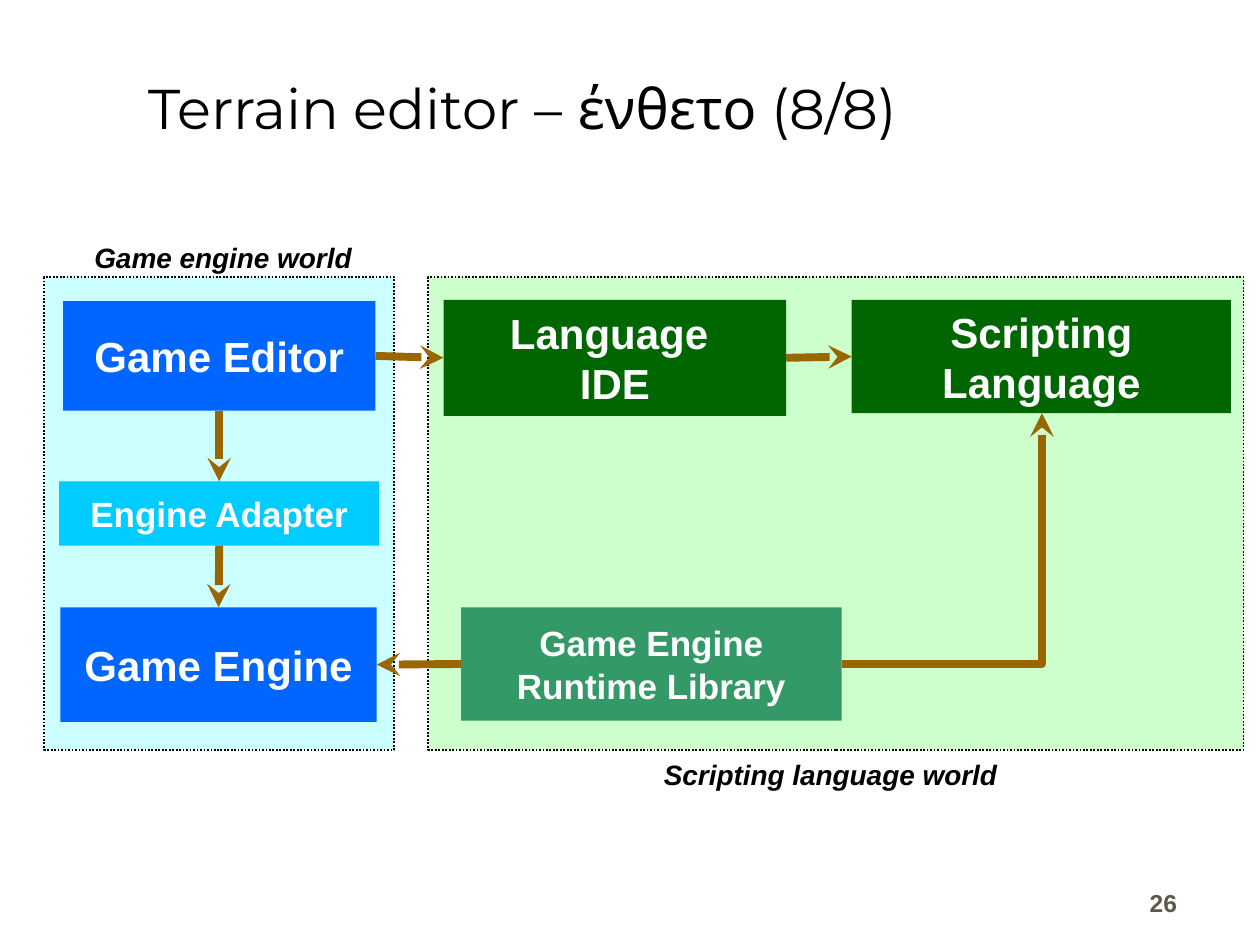
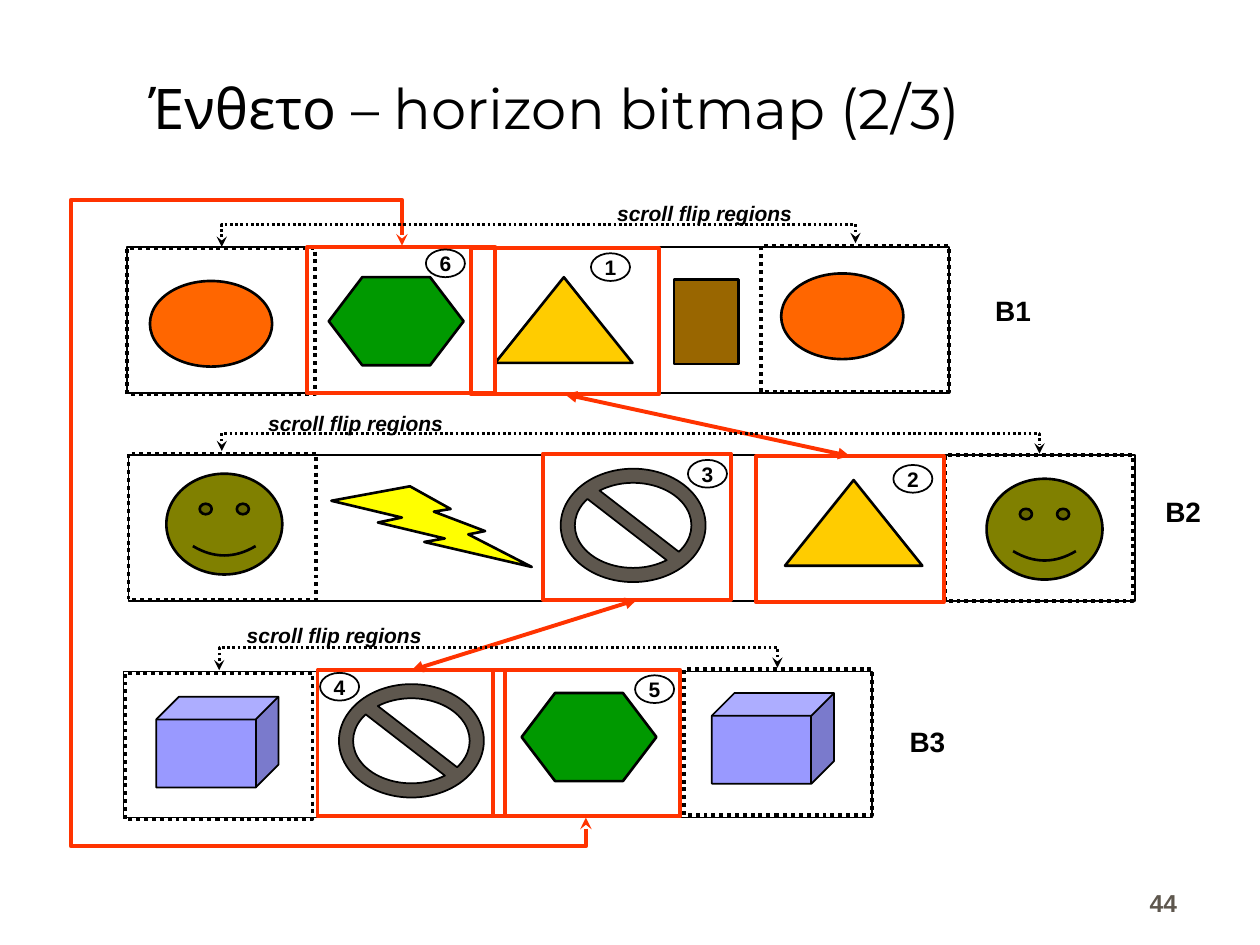
from lxml import etree
from pptx import Presentation
from pptx.dml.color import RGBColor
from pptx.enum import dml, shapes, text
from pptx.oxml.ns import qn
from pptx import util as u

BLACK = RGBColor(0x00, 0x00, 0x00)
WHITE = RGBColor(0xFF, 0xFF, 0xFF)
GREY = RGBColor(0x5E, 0x57, 0x4E)
RED = RGBColor(0xFF, 0x33, 0x00)
ORANGE = RGBColor(0xFF, 0x66, 0x00)
AMBER = RGBColor(0xFF, 0xCC, 0x00)
YELLOW = RGBColor(0xFF, 0xFF, 0x00)
OLIVE = RGBColor(0x80, 0x80, 0x00)
BROWN = RGBColor(0x99, 0x66, 0x00)
GREEN = RGBColor(0x00, 0x99, 0x00)
DARK_GREEN = RGBColor(0x00, 0x66, 0x00)
SEA_GREEN = RGBColor(0x33, 0x99, 0x66)
PALE_GREEN = RGBColor(0xCC, 0xFF, 0xCC)
PALE_CYAN = RGBColor(0xCC, 0xFF, 0xFF)
BLUE = RGBColor(0x00, 0x66, 0xFF)
SKY = RGBColor(0x00, 0xCC, 0xFF)
LAVENDER = RGBColor(0x99, 0x99, 0xFF)

MSO = shapes.MSO_SHAPE
DOTTED = dml.MSO_LINE.ROUND_DOT
LEFT, CENTER, RIGHT = text.PP_ALIGN.LEFT, text.PP_ALIGN.CENTER, text.PP_ALIGN.RIGHT
TOP, MIDDLE, BOTTOM = text.MSO_ANCHOR.TOP, text.MSO_ANCHOR.MIDDLE, text.MSO_ANCHOR.BOTTOM

prs = Presentation()
prs.slide_width, prs.slide_height = u.Inches(10), u.Inches(7.5)
COL, ROW = prs.slide_width / 10, prs.slide_height / 7.5


def add_box(s, kind, at, fill=None, line=None, words="", color=BLACK, font=None,
            align=LEFT, anchor=TOP, wrap=True):
    """Add a preset shape, or a text box when kind is None; at is in columns and rows."""
    x, y, w, h = at
    place = [int(v) for v in (x * COL, y * ROW, w * COL, h * ROW)]
    if kind is None:
        sp = s.shapes.add_textbox(*place)
    else:
        sp = s.shapes.add_shape(kind, *place)
        sp.shadow.inherit = False
        if fill is None:
            sp.fill.background()
        else:
            sp.fill.solid()
            sp.fill.fore_color.rgb = fill
        if line is None:
            sp.line.fill.background()
        else:
            sp.line.color.rgb, width, sp.line.dash_style = line
            sp.line.width = u.Pt(width)
    if words:
        tf = sp.text_frame
        tf.text = words
        tf.word_wrap, tf.vertical_anchor = wrap, anchor
        for p in tf.paragraphs:
            p.alignment = align
            for r in p.runs:
                r.font.color.rgb = color
                for name, value in {"name": "Arial", "bold": True, **(font or {})}.items():
                    setattr(r.font, name, value)
    return sp


def add_link(s, start, end, line, ends, join=None, preset=None, rot=0, adj=()):
    """Add an arrow; join holds (shape, side) pairs, preset names a bent route."""
    (x0, y0), (x1, y1) = start, end
    dx, dy = x1 - x0, y1 - y0
    if rot:
        dx, dy = (dy, -dx) if rot == 90 else (-dy, dx)
    cx, cy = (x0 + x1) / 2, (y0 + y1) / 2
    kind = shapes.MSO_CONNECTOR.ELBOW if preset else shapes.MSO_CONNECTOR.STRAIGHT
    cxn = s.shapes.add_connector(
        kind, int((cx - dx / 2) * COL), int((cy - dy / 2) * ROW),
        int((cx + dx / 2) * COL), int((cy + dy / 2) * ROW))
    cxn.line.color.rgb, width, dash = line
    cxn.line.width = u.Pt(width)
    cxn.line.dash_style = dash
    pr = cxn._element.spPr
    if preset:
        geom = pr.find(qn("a:prstGeom"))
        geom.set("prst", preset)
        guides = geom.find(qn("a:avLst"))
        for i, share in enumerate(adj, 1):
            name = "adj%d" % i
            etree.SubElement(guides, qn("a:gd"), name=name, fmla="val %d" % (share * 100000))
        pr.find(qn("a:xfrm")).set("rot", str(rot * 60000))
    ln = pr.find(qn("a:ln"))
    for tag, head in ends.items():
        etree.SubElement(ln, qn("a:" + tag), type=head)
    etree.SubElement(pr, qn("a:effectLst"))
    if join:
        cxn.begin_connect(*join[0])
        cxn.end_connect(*join[1])


# Title and page number on every slide
slides = []
for title, number in [("Terrain editor – ένθετο (8/8)", "26"),
                      ("Ένθετο – horizon bitmap (2/3)", "44")]:
    s = prs.slides.add_slide(prs.slide_layouts[6])
    add_box(s, None, (1.08, 0.17, 8.92, 1), words=title, anchor=BOTTOM,
            font={"name": "Montserrat", "size": u.Pt(32), "bold": False})
    add_box(s, None, (7.36, 6.83, 2.08, 0.5), words=number, color=GREY,
            font={"size": u.Pt(14)}, align=RIGHT, anchor=BOTTOM)
    slides.append(s)
engine_slide, horizon_slide = slides

# Engine and scripting worlds
s = engine_slide
for x, w, fill in [(3.4, 6.47, PALE_GREEN), (0.35, 2.78, PALE_CYAN)]:
    add_box(s, MSO.RECTANGLE, (x, 2.2, w, 3.75), fill, (BLACK, 1, DOTTED))
for words, at in [("Game engine world", (0.65, 1.86, 2.25, 0.37)),
                  ("Scripting language world", (5.17, 5.96, 2.85, 0.37))]:
    add_box(s, None, at, words=words, wrap=False, font={"size": u.Pt(16), "italic": True})

parts = {}
for key, words, at, fill, size in [
    ("scripting", "Scripting Language", (6.76, 2.38, 3.01, 0.9), DARK_GREEN, 24),
    ("runtime", "Game Engine\nRuntime Library", (3.66, 4.82, 3.02, 0.9), SEA_GREEN, 20),
    ("ide", "Language \nIDE", (3.52, 2.38, 2.72, 0.92), DARK_GREEN, 24),
    ("editor", "Game Editor", (0.5, 2.39, 2.48, 0.87), BLUE, 24),
    ("engine", "Game Engine", (0.48, 4.82, 2.51, 0.91), BLUE, 24),
    ("adapter", "Engine Adapter", (0.47, 3.82, 2.54, 0.51), SKY, 20),
]:
    parts[key] = add_box(s, MSO.RECTANGLE, at, fill, words=words, color=WHITE,
                         font={"size": u.Pt(size)}, align=CENTER, anchor=MIDDLE)

flow, to_end = (BROWN, 4.5, None), {"tailEnd": "stealth"}
for a, a_side, b, b_side in [("ide", 3, "scripting", 1), ("editor", 3, "ide", 1),
                             ("editor", 2, "adapter", 0), ("adapter", 2, "engine", 0),
                             ("runtime", 1, "engine", 3)]:
    add_link(s, (0, 0), (1, 1), flow, to_end, [(parts[a], a_side), (parts[b], b_side)])
add_link(s, (6.68, 5.27), (8.27, 3.28), flow, to_end, preset="bentConnector2")

# Horizon bitmaps B1 to B3
s = horizon_slide
FRAME_W, FRAME_H = 1.49, 1.16
for x, y, w in [(1.01, 1.96, 6.52), (1.02, 3.61, 7.99), (0.98, 5.33, 5.94)]:
    add_box(s, MSO.RECTANGLE, (x, y, w, FRAME_H), WHITE, (BLACK, 1, None))

for kind, size, fill, width, adj, places in [
    (MSO.OVAL, (0.97, 0.68), ORANGE, 1.5, None, [(1.19, 2.23), (6.2, 2.17)]),
    (MSO.HEXAGON, (1.07, 0.7), GREEN, 1.5, 0.38, [(2.61, 2.2), (4.14, 5.5)]),
    (MSO.ISOSCELES_TRIANGLE, (1.09, 0.68), AMBER, 1.5, None, [(3.93, 2.2), (6.23, 3.81)]),
    (MSO.RECTANGLE, (0.51, 0.67), BROWN, 1.5, None, [(5.35, 2.22)]),
    (MSO.SMILEY_FACE, (0.92, 0.8), OLIVE, 1.5, 0.09, [(1.32, 3.76), (7.83, 3.8)]),
    (MSO.LIGHTNING_BOLT, (1.59, 0.64), YELLOW, 1.5, None, [(2.63, 3.86)]),
    (MSO.NO_SYMBOL, (1.15, 0.9), GREY, 1, 1 / 8, [(4.45, 3.72), (2.69, 5.43)]),
    (MSO.CUBE, (0.97, 0.72), LAVENDER, 1, None, [(1.24, 5.53), (5.65, 5.5)]),
]:
    for place in places:
        sp = add_box(s, kind, place + size, fill, (BLACK, width, None))
        if adj:
            sp.adjustments[0] = adj

for x, y in [(1.01, 1.97), (6.04, 1.95), (1.02, 3.6), (7.5, 3.61), (0.99, 5.34), (5.43, 5.31)]:
    add_box(s, MSO.RECTANGLE, (x, y, FRAME_W, FRAME_H), line=(BLACK, 2.25, DOTTED))

# Numbered views: frame corner, then badge corner
views = {}
for number, frame, badge in [
    ("1", (3.74, 1.97), (4.69, 2.01)), ("2", (6, 3.62), (7.09, 3.69)),
    ("3", (4.31, 3.6), (5.46, 3.65)), ("4", (2.52, 5.32), (2.54, 5.34)),
    ("5", (3.91, 5.32), (5.04, 5.36)), ("6", (2.44, 1.96), (3.38, 1.98)),
]:
    views[number] = add_box(s, MSO.RECTANGLE, frame + (FRAME_W, FRAME_H), line=(RED, 2.25, None))
    add_box(s, MSO.OVAL, badge + (0.31, 0.22), WHITE, (BLACK, 1, None), number,
            font={"size": u.Pt(12)}, align=CENTER, anchor=MIDDLE, wrap=False)

jump = (RED, 2.25, None)
for a, b in [("1", "2"), ("3", "4")]:
    add_link(s, (0, 0), (1, 1), jump, {"headEnd": "triangle", "tailEnd": "triangle"},
             [(views[a], 2), (views[b], 0)])

both_ends = {"headEnd": "stealth", "tailEnd": "stealth"}
add_link(s, (4.65, 6.49), (3.19, 1.95), jump, both_ends, preset="bentConnector5",
         rot=270, adj=(-0.05, 2.8, 1.08))

# Brackets joining the two flip regions of each bitmap
for (x0, y0), (x1, y1), top, label in [
    ((1.76, 1.96), (6.79, 1.93), 1.78, (4.8, 1.54)),
    ((1.76, 3.58), (8.25, 3.6), 3.44, (2.03, 3.21)),
    ((1.74, 5.32), (6.17, 5.3), 5.14, (1.86, 4.89)),
]:
    add_link(s, (x0, y0), (x1, y1), (BLACK, 1.5, DOTTED), both_ends, preset="bentConnector3",
             rot=90 if y0 > y1 else 270, adj=[(y0 - top) / (y0 - y1)])
    add_box(s, None, label + (1.59, 0.3), words="scroll flip regions", wrap=False,
            font={"size": u.Pt(12), "italic": True})

for name, x, y in [("Β1", 7.8, 2.28), ("Β2", 9.15, 3.88), ("Β3", 7.12, 5.7)]:
    add_box(s, None, (x, y, 0.49, 0.37), words=name, wrap=False, font={"size": u.Pt(16)})

prs.save("out.pptx")
